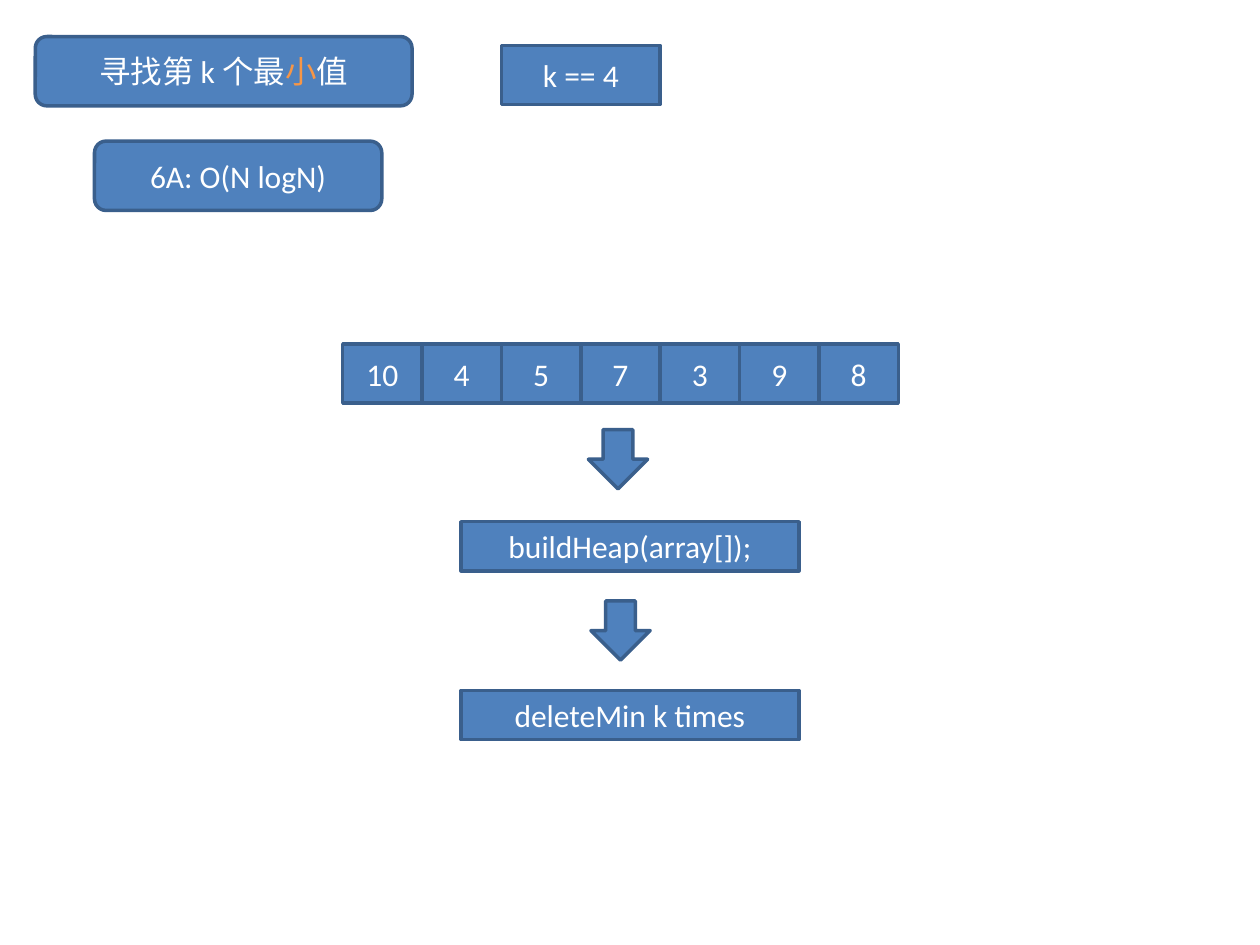
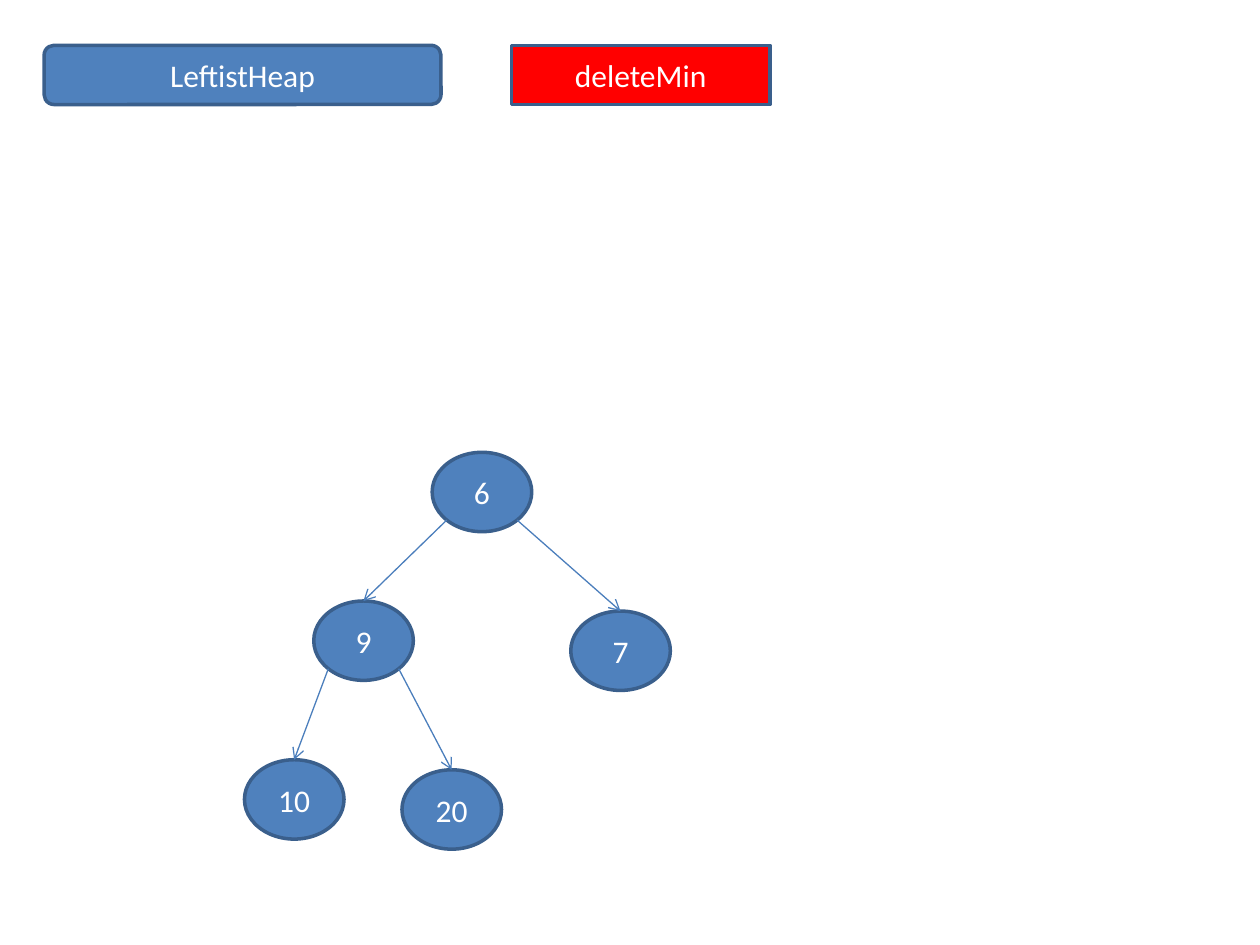
"""Build two slides on finding the k-th smallest value with a heap."""
import dataclasses
import math

import lxml.etree
import pptx
import pptx.dml.color
import pptx.enum.shapes
import pptx.enum.text
import pptx.oxml.ns
import pptx.shapes.autoshape
import pptx.slide
import pptx.util

Inches = pptx.util.Inches
Pt = pptx.util.Pt
KIND = pptx.enum.shapes.MSO_SHAPE
FONT = "Calibri"
SIZE = Pt(18)
HUES = {
    "fill": "4F81BD",
    "edge": "3A5F8C",
    "link": "4B7EBC",
    "text": "FFFFFF",
    "mark": "F79646",
    "alert": "FF0000",
}


@dataclasses.dataclass
class Box:
    """A filled shape with centred text made of (text, hue) runs."""
    kind: KIND
    left: float
    top: float
    width: float
    height: float
    text: str = ""
    fill: str = "fill"
    runs: tuple[tuple[str, str], ...] = ()


@dataclasses.dataclass
class Node:
    """A tree node, with the key of its parent and its side (-1 or 1)."""
    key: str
    left: float
    top: float
    parent: str = ""
    side: int = 0


CELL = 0.63
NODE_W, NODE_H = 0.79, 0.63
ARRAY = ("10", "4", "5", "7", "3", "9", "8")

SEARCH = [
    Box(KIND.ROUNDED_RECTANGLE, 0.28, 0.29, 2.99, 0.55,
        runs=(("寻找第 k 个最", "text"), ("小", "mark"), ("值", "text"))),
    Box(KIND.RECTANGLE, 3.98, 0.36, 1.26, 0.47, "k == 4"),
    Box(KIND.ROUNDED_RECTANGLE, 0.75, 1.12, 2.28, 0.55, "6A: O(N logN)"),
    *(Box(KIND.RECTANGLE, 2.72 + i * CELL, 2.73, CELL, 0.47, value)
      for i, value in enumerate(ARRAY)),
    Box(KIND.DOWN_ARROW, 4.67, 3.41, 0.47, 0.47),
    Box(KIND.RECTANGLE, 3.66, 4.14, 2.68, 0.39, "buildHeap(array[]);"),
    Box(KIND.DOWN_ARROW, 4.69, 4.77, 0.47, 0.47),
    Box(KIND.RECTANGLE, 3.66, 5.48, 2.68, 0.39, "deleteMin k times"),
]
HEADS = [
    Box(KIND.ROUNDED_RECTANGLE, 0.35, 0.36, 3.15, 0.47, "LeftistHeap"),
    Box(KIND.RECTANGLE, 4.06, 0.36, 2.05, 0.47, "deleteMin", "alert"),
]
TREE = [
    Node("6", 3.43, 3.59),
    Node("9", 2.49, 4.77, "6", -1),
    Node("7", 4.53, 4.85, "6", 1),
    Node("10", 1.94, 6.03, "9", -1),
    Node("20", 3.19, 6.11, "9", 1),
]


def hue(name: str) -> pptx.dml.color.RGBColor:
    """Look up a colour by its role."""
    return pptx.dml.color.RGBColor.from_string(HUES[name])


def draw_box(slide: pptx.slide.Slide, box: Box) -> pptx.shapes.autoshape.Shape:
    """Draw a box and its text."""
    shape = slide.shapes.add_shape(
        box.kind, Inches(box.left), Inches(box.top),
        Inches(box.width), Inches(box.height))
    shape.shadow.inherit = False
    shape.fill.solid()
    shape.fill.fore_color.rgb = hue(box.fill)
    shape.line.color.rgb = hue("edge")
    shape.line.width = Pt(2)
    runs = box.runs or ((box.text, "text"),)
    if not any(text for text, _ in runs):
        return shape
    frame = shape.text_frame
    frame.word_wrap = True
    frame.vertical_anchor = pptx.enum.text.MSO_ANCHOR.MIDDLE
    para = frame.paragraphs[0]
    para.alignment = pptx.enum.text.PP_ALIGN.CENTER
    para.font.name = FONT
    para.font.size = SIZE
    for text, name in runs:
        run = para.add_run()
        run.text = text
        run.font.color.rgb = hue(name)
    return shape


def draw_link(slide: pptx.slide.Slide, parent: Node, child: Node,
              target: pptx.shapes.autoshape.Shape) -> None:
    """Draw an arrow from a lower corner of the parent to the child's top."""
    reach = math.sqrt(0.5) / 2
    left = parent.left + NODE_W * (0.5 + child.side * reach)
    top = parent.top + NODE_H * (0.5 + reach)
    link = slide.shapes.add_connector(
        pptx.enum.shapes.MSO_CONNECTOR.STRAIGHT, Inches(left), Inches(top),
        Inches(child.left + NODE_W / 2), Inches(child.top))
    link.end_connect(target, 0)
    link.line.color.rgb = hue("link")
    link.line.width = Pt(0.75)
    qn = pptx.oxml.ns.qn
    lxml.etree.SubElement(link.line._get_or_add_ln(), qn("a:tailEnd"), type="arrow")
    lxml.etree.SubElement(link._element.spPr, qn("a:effectLst"))


def draw_tree(slide: pptx.slide.Slide, tree: list[Node]) -> None:
    """Draw the nodes and link each to its parent."""
    nodes = {node.key: node for node in tree}
    for node in tree:
        shape = draw_box(slide, Box(
            KIND.OVAL, node.left, node.top, NODE_W, NODE_H, node.key))
        if node.parent:
            draw_link(slide, nodes[node.parent], node, shape)


def main() -> None:
    """Build and save the slides."""
    deck = pptx.Presentation()
    deck.slide_width = Inches(10)
    deck.slide_height = Inches(7.5)
    blank = deck.slide_layouts.get_by_name("Blank")
    for boxes, tree in ((SEARCH, []), (HEADS, TREE)):
        slide = deck.slides.add_slide(blank)
        for box in boxes:
            draw_box(slide, box)
        draw_tree(slide, tree)
    deck.save("out.pptx")


if __name__ == "__main__":
    main()
